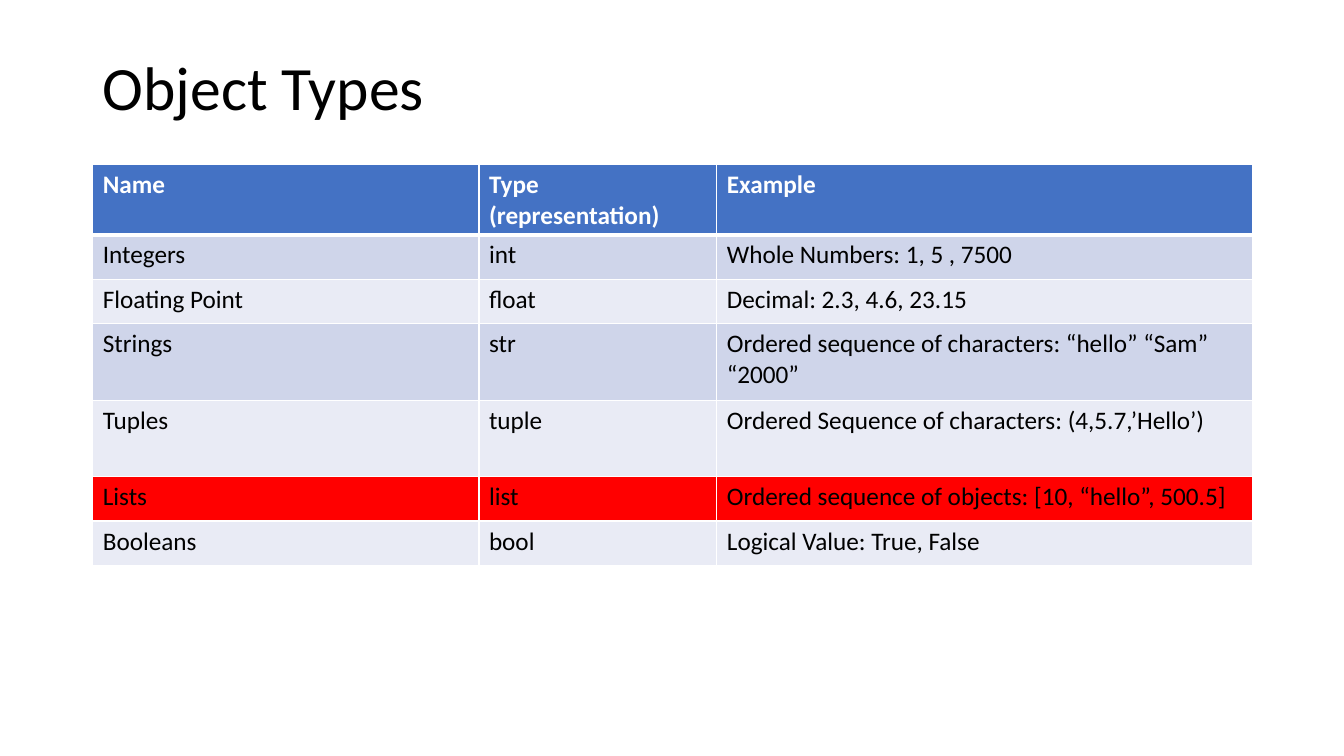
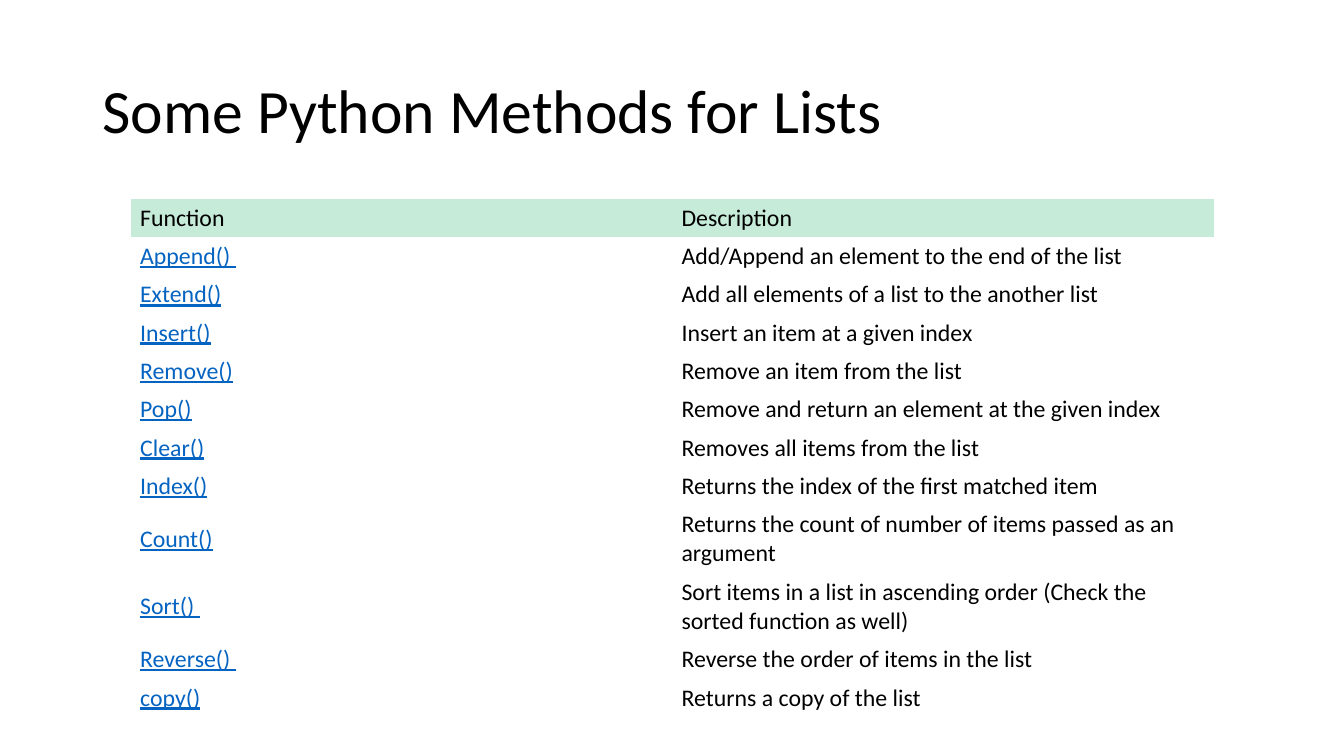
from dataclasses import dataclass

from lxml import etree
from pptx import Presentation
from pptx.dml.color import RGBColor
from pptx.enum.text import MSO_ANCHOR as Anchor
from pptx.oxml.ns import qn
from pptx.util import Inches, Pt


@dataclass(frozen=True)
class Theme:
    font: str = "Calibri"
    title_size: int = 44
    types_size: int = 18
    methods_size: int = 17
    ink: str = "000000"
    white: str = "FFFFFF"
    link: str = "0563C1"
    header_blue: str = "4472C4"
    band_dark: str = "CFD5EA"
    band_light: str = "E9EBF5"
    highlight: str = "FF0000"
    header_green: str = "C6EBD9"
    rule: int = 1
    heavy_rule: int = 3


THEME = Theme()
NO_STYLE = "{2D5ABB26-0587-4C30-8999-92F81FD0307C}"
TITLE_LEFT, TITLE_TOP, TITLE_WIDTH = 0.92, 0.4, 11.5

OBJECT_TYPES = [
    ("Name", "Type (representation)", "Example"),
    ("Integers", "int", "Whole Numbers: 1, 5 , 7500"),
    ("Floating Point", "float", "Decimal: 2.3, 4.6, 23.15"),
    ("Strings", "str", "Ordered sequence of characters: “hello” “Sam” “2000”"),
    ("Tuples", "tuple", "Ordered Sequence of characters: (4,5.7,’Hello’)"),
    ("Lists", "list", "Ordered sequence of objects: [10, “hello”, 500.5]"),
    ("Booleans", "bool", "Logical Value: True, False"),
]
LIST_METHODS = [
    ("Function", "Description"),
    ("Append() ", "Add/Append an element to the end of the list"),
    ("Extend()", "Add all elements of a list to the another list"),
    ("Insert()", "Insert an item at a given index"),
    ("Remove()", "Remove an item from the list"),
    ("Pop()", "Remove and return an element at the given index"),
    ("Clear()", "Removes all items from the list"),
    ("Index()", "Returns the index of the first matched item"),
    ("Count()", "Returns the count of number of items passed as an argument"),
    ("Sort() ", "Sort items in a list in ascending order (Check the sorted function as well)"),
    ("Reverse() ", "Reverse the order of items in the list"),
    ("copy()", "Returns a copy of the list"),
]


def set_attributes(target, values):
    for name, value in values.items():
        setattr(target, name, value)


def write(para, text, size, color=THEME.ink, **extra):
    span = para.add_run()
    span.text = text
    set_attributes(span.font, {"name": THEME.font, "size": Pt(size), **extra})
    span.font.color.rgb = RGBColor.from_string(color)


def add_page(deck, title, title_height):
    page = deck.slides.add_slide(deck.slide_layouts[6])
    box = page.shapes.add_textbox(*map(Inches, (TITLE_LEFT, TITLE_TOP, TITLE_WIDTH, title_height)))
    set_attributes(box.text_frame, {"word_wrap": True, "vertical_anchor": Anchor.MIDDLE})
    para = box.text_frame.paragraphs[0]
    para.line_spacing = 0.9
    write(para, title, THEME.title_size)
    return page


def add_plain_table(page, left, top, widths, heights):
    """Add a table without any style of its own."""
    frame = page.shapes.add_table(
        len(heights), len(widths),
        *map(Inches, (left, top, sum(widths), sum(heights))))
    table = frame.table
    set_attributes(table, {"first_row": False, "horz_banding": False})
    table._tbl.tblPr.find(qn("a:tableStyleId")).text = NO_STYLE
    for column, width in zip(table.columns, widths):
        column.width = Inches(width)
    for row, height in zip(table.rows, heights):
        row.height = Inches(height)
    return table


def fill_cell(cell, color):
    cell.fill.solid()
    cell.fill.fore_color.rgb = RGBColor.from_string(color)


def add_borders(cell, top, bottom):
    """Draw white cell borders, with weights in points for top and bottom."""
    properties = cell._tc.get_or_add_tcPr()
    weights = {"lnL": THEME.rule, "lnR": THEME.rule, "lnT": top, "lnB": bottom}
    for index, (side, weight) in enumerate(weights.items()):
        line = etree.Element(qn(f"a:{side}"), w=str(Pt(weight)))
        fill = etree.SubElement(line, qn("a:solidFill"))
        etree.SubElement(fill, qn("a:srgbClr"), val=THEME.white)
        properties.insert(index, line)


def types_row_fill(row, name):
    if row == 0:
        return THEME.header_blue
    if name == "Lists":
        return THEME.highlight
    return THEME.band_dark if row % 2 else THEME.band_light


def build_object_types(deck):
    page = add_page(deck, "Object Types", 1)
    heights = [0.7, 0.44, 0.44, 0.76, 0.76, 0.44, 0.44]
    table = add_plain_table(page, 0.92, 1.63, [3.83, 2.36, 5.31], heights)
    for row, texts in enumerate(OBJECT_TYPES):
        header = row == 0
        for column, text in enumerate(texts):
            cell = table.cell(row, column)
            fill_cell(cell, types_row_fill(row, texts[0]))
            add_borders(cell,
                        top=THEME.heavy_rule if row == 1 else THEME.rule,
                        bottom=THEME.heavy_rule if header else THEME.rule)
            write(cell.text_frame.paragraphs[0], text, THEME.types_size,
                  THEME.white if header else THEME.ink, bold=header)


def build_list_methods(deck):
    page = add_page(deck, "Some Python Methods for Lists", 1.45)
    heights = [0.67 if name.startswith(("Count", "Sort")) else 0.38
               for name, _ in LIST_METHODS]
    table = add_plain_table(page, 1.3, 1.97, [5.37, 5.37], heights)
    cell_format = {
        "vertical_anchor": Anchor.MIDDLE,
        "margin_left": Inches(0.09), "margin_right": Inches(0.09),
        "margin_top": Inches(0.05), "margin_bottom": Inches(0.04),
    }
    for row, texts in enumerate(LIST_METHODS):
        for column, text in enumerate(texts):
            cell = table.cell(row, column)
            set_attributes(cell, cell_format)
            if row == 0:
                fill_cell(cell, THEME.header_green)
            else:
                cell.fill.background()
            linked = row > 0 and column == 0
            write(cell.text_frame.paragraphs[0], text, THEME.methods_size,
                  THEME.link if linked else THEME.ink, underline=linked)


def main():
    deck = Presentation()
    set_attributes(deck, {"slide_width": Inches(13.33), "slide_height": Inches(7.5)})
    build_object_types(deck)
    build_list_methods(deck)
    deck.save("out.pptx")


if __name__ == "__main__":
    main()
